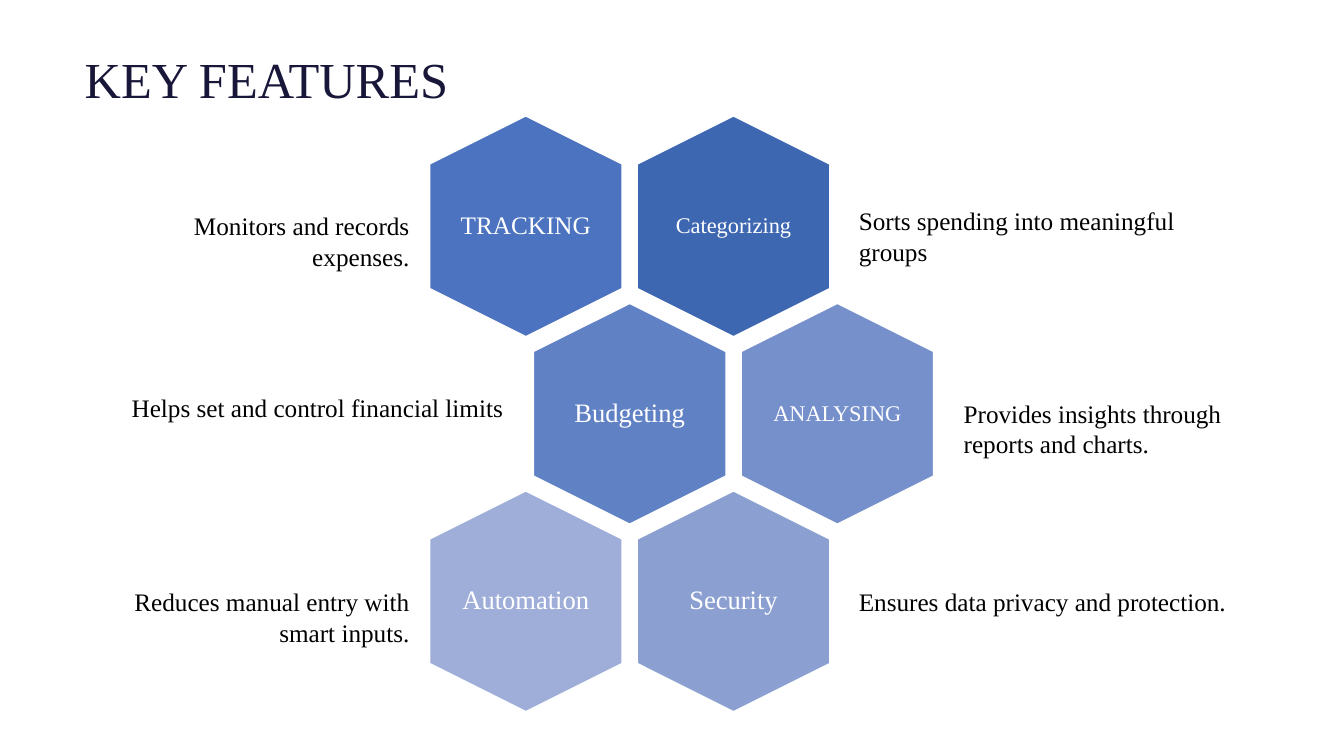
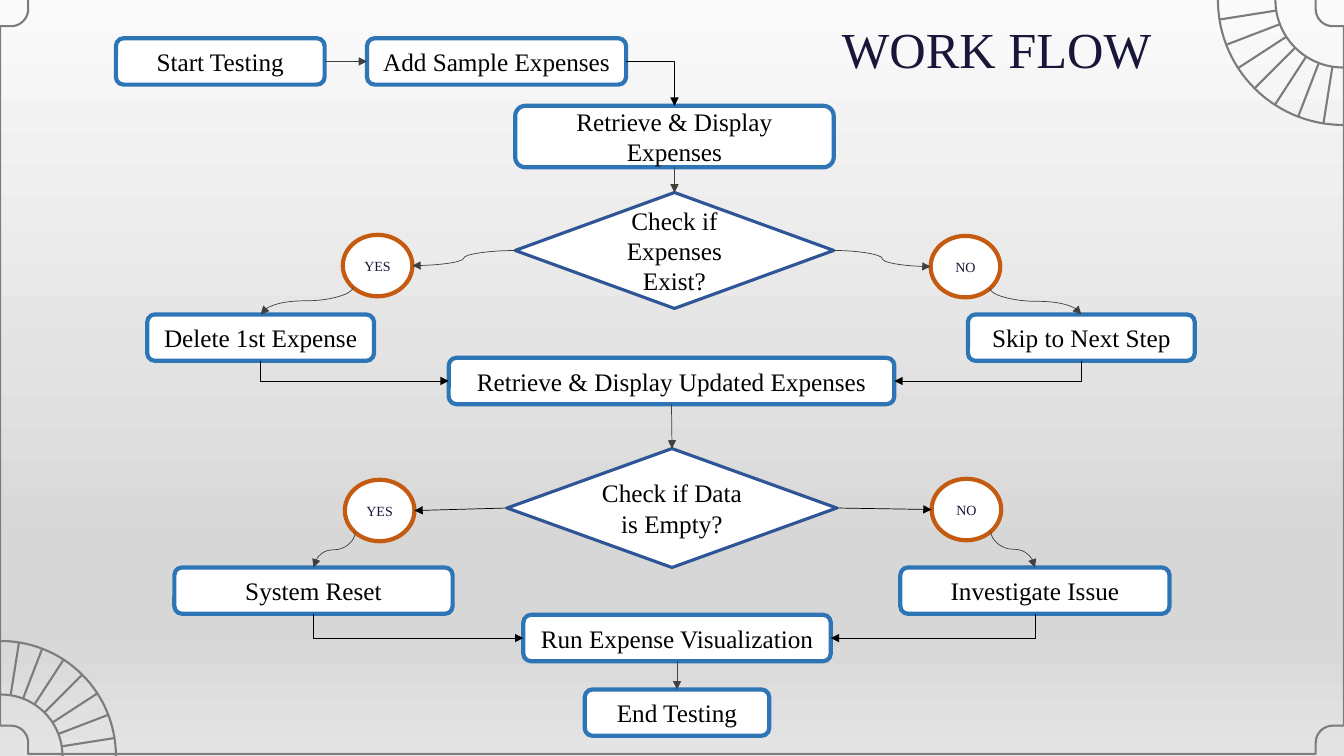
from dataclasses import dataclass
from math import cos, radians, sin

from lxml.etree import SubElement as Sub
from pptx import Presentation
from pptx.dml.color import RGBColor as Rgb
from pptx.enum.shapes import MSO_CONNECTOR as Wire, MSO_SHAPE as Form
from pptx.enum.text import MSO_ANCHOR as Anchor, MSO_AUTO_SIZE as Fit, PP_ALIGN as Align
from pptx.oxml.ns import qn
from pptx.util import Pt

SCALE = 9144
WIDE, HIGH = 1333, 750


@dataclass(frozen=True)
class Theme:
    font: str = "Times New Roman"
    ink: str = "18173A"
    black: str = "000000"
    white: str = "FFFFFF"
    grey: str = "404040"
    trim: str = "7C7C7C"
    step: str = "2E75B6"
    test: str = "2F5597"
    ring: str = "C55A11"
    fade: tuple = ((0, "FAFAFA"), (74, "D7D7D7"), (83, "D7D7D7"), (100, "E4E4E4"))
    title: int = 36
    body: int = 18
    tag: int = 10


LOOK = Theme()
SPOTS = {
    "T": (.5, 0), "TL": (.15, .15), "L": (0, .5), "BL": (.15, .85),
    "B": (.5, 1), "BR": (.85, .85), "R": (1, .5), "TR": (.85, .15),
}
BOX_SITES = ["T", "L", "B", "R"]
RING_SITES = list(SPOTS)

CELLS = [
    ("TRACKING", 412, 0, "4C73BF", 18),
    ("Categorizing", 618, 0, "3E67B2", 16),
    ("Budgeting", 515, 1, "6181C5", 19),
    ("ANALYSING", 721, 1, "7690CB", 16),
    ("Automation", 412, 2, "9FAED8", 19),
    ("Security", 618, 2, "8B9FD1", 19),
]
NOTES = [
    ("Monitors and records expenses.", (111, 204, 305, 71), Align.RIGHT),
    ("Sorts spending into meaningful groups", (842, 199, 394, 71), Align.LEFT),
    ("Helps set and control financial limits", (111, 384, 398, 40), Align.RIGHT),
    ("Provides insights through reports and charts.", (946, 390, 344, 71), Align.LEFT),
    ("Reduces manual entry with smart inputs.", (111, 577, 305, 71), Align.RIGHT),
    ("Ensures data privacy and protection.", (842, 577, 394, 40), Align.LEFT),
]
STEPS = {
    "start": ("Start Testing", 115, 38, 207, 46),
    "add": ("Add Sample Expenses", 364, 38, 257, 46),
    "show": ("Retrieve & Display Expenses", 511, 105, 316, 61),
    "delete": ("Delete 1st Expense", 146, 312, 225, 46),
    "skip": ("Skip to Next Step", 960, 312, 225, 46),
    "update": ("Retrieve & Display Updated Expenses", 445, 355, 442, 46),
    "reset": ("System Reset", 173, 563, 276, 46),
    "probe": ("Investigate Issue", 893, 563, 267, 46),
    "run": ("Run Expense Visualization", 519, 610, 305, 46),
    "end": ("End Testing", 580, 684, 183, 46),
}
TESTS = {
    "exist": ("Check if Expenses Exist?", 511, 191, 316, 115),
    "empty": ("Check if Data is Empty?", 503, 445, 327, 118),
}
RINGS = {
    "yes1": ("YES", 340, 233, 69, 61),
    "no1": ("NO", 923, 234, 69, 61),
    "yes2": ("YES", 342, 476, 69, 61),
    "no2": ("NO", 924, 475, 69, 61),
}
LINKS = [
    (Wire.STRAIGHT, LOOK.grey, [
        ("start", "R", "add", "L"), ("show", "B", "exist", "T"),
        ("update", "B", "empty", "T"), ("run", "B", "end", "T")]),
    (Wire.STRAIGHT, LOOK.black, [
        ("empty", "L", "yes2", "R"), ("empty", "R", "no2", "L")]),
    (Wire.CURVE, LOOK.grey, [
        ("exist", "L", "yes1", "R"), ("exist", "R", "no1", "L"),
        ("yes1", "BL", "delete", "T"), ("no1", "BR", "skip", "T"),
        ("yes2", "BL", "reset", "T"), ("no2", "BR", "probe", "T")]),
    (Wire.ELBOW, LOOK.black, [
        ("add", "R", "show", "T"),
        ("delete", "B", "update", "L"), ("skip", "B", "update", "R"),
        ("reset", "B", "run", "L"), ("probe", "B", "run", "R")]),
]


def px(*vals):
    return [round(val * SCALE) for val in vals]


def write(frame, text, size, tint, align):
    frame.word_wrap = True
    frame.text = text
    para = frame.paragraphs[0]
    para.alignment = align
    font = para.font
    font.name, font.size, font.color.rgb = LOOK.font, Pt(size), Rgb.from_string(tint)


def label(slide, text, box, align, size=LOOK.body, tint=LOOK.black):
    frame = slide.shapes.add_textbox(*px(*box)).text_frame
    write(frame, text, size, tint, align)
    return frame


def page(deck, text, box):
    slide = deck.slides.add_slide(deck.slide_layouts[5])
    head = slide.shapes.title
    head.left, head.top, head.width, head.height = px(*box)
    frame = head.text_frame
    write(frame, text, LOOK.title, LOOK.ink, Align.LEFT)
    frame.auto_size = Fit.NONE
    frame.vertical_anchor = Anchor.TOP
    return slide


def shape(slide, form, box, fill, edge, width):
    item = slide.shapes.add_shape(form, *px(*box))
    item.shadow.inherit = False
    item.fill.solid()
    item.fill.fore_color.rgb = Rgb.from_string(fill)
    item.line.color.rgb = Rgb.from_string(edge)
    item.line.width = Pt(width)
    return item


def cell(slide, text, left, row, fill, size):
    top = 129 + 186 * row
    item = shape(slide, Form.HEXAGON, (left, top, 219, 191), fill, LOOK.white, 1)
    item.rotation = 90
    frame = label(slide, text, (left + 44, top + 20, 131, 151), Align.CENTER, size, LOOK.white)
    frame.margin_left = frame.margin_right = frame.margin_top = frame.margin_bottom = 0
    frame.vertical_anchor = Anchor.MIDDLE
    frame.paragraphs[0].line_spacing = .9


def node(slide, form, spec_row, edge, width, size=LOOK.body, tint=LOOK.black):
    text, *box = spec_row
    item = shape(slide, form, box, LOOK.white, edge, width)
    write(item.text_frame, text, size, tint, Align.CENTER)
    item.text_frame.vertical_anchor = Anchor.MIDDLE
    return item


def spot(item, side):
    fx, fy = SPOTS[side]
    return round(item.left + fx * item.width), round(item.top + fy * item.height)


def glue(wire, tag, item, side):
    ring = item.auto_shape_type == Form.FLOWCHART_CONNECTOR
    sites = RING_SITES if ring else BOX_SITES
    host = wire.element.find(".//" + qn("p:cNvCxnSpPr"))
    Sub(host, qn(tag), id=str(item.shape_id), idx=str(sites.index(side)))


def turn(wire, start, stop):
    dx, dy = stop[0] - start[0], stop[1] - start[1]
    wire.width, wire.height = abs(dy), abs(dx)
    wire.left = (start[0] + stop[0] - abs(dy)) // 2
    wire.top = (start[1] + stop[1] - abs(dx)) // 2
    frame = wire.element.find(".//" + qn("a:xfrm"))
    frame.set("rot", "16200000" if dx > 0 else "5400000")
    frame.set("flipH", "1" if dx > 0 else "0")


def stroke(slide, kind, start, stop, tint, width):
    wire = slide.shapes.add_connector(kind, *start, *stop)
    wire.line.color.rgb = Rgb.from_string(tint)
    wire.line.width = Pt(width)
    Sub(wire.element.spPr, qn("a:effectLst"))
    return wire


def link(slide, kind, tint, first, out, last, into):
    start, stop = spot(first, out), spot(last, into)
    wire = stroke(slide, kind, start, stop, tint, .5)
    Sub(wire.element.find(".//" + qn("a:ln")), qn("a:tailEnd"), type="triangle")
    if kind == Wire.ELBOW:
        wire.element.find(".//" + qn("a:prstGeom")).set("prst", "bentConnector2")
    if kind != Wire.STRAIGHT and out.startswith("B"):
        turn(wire, start, stop)
    glue(wire, "a:stCxn", first, out)
    glue(wire, "a:endCxn", last, into)


def polar(mid, reach, angle):
    turned = radians(angle)
    return mid[0] + reach * cos(turned), mid[1] + reach * sin(turned)


def arc(mid, reach, start):
    return [polar(mid, reach, start + step) for step in range(0, 91, 3)]


def trace(slide, dots, close=False):
    dots = [px(*dot) for dot in dots]
    pen = slide.shapes.build_freeform(*dots[0])
    pen.add_line_segments(dots[1:], close=close)
    item = pen.convert_to_shape()
    item.shadow.inherit = False
    item.fill.background()
    item.line.color.rgb = Rgb.from_string(LOOK.trim)
    item.line.width = Pt(1.5)


def fan(slide, mid, inner, outer, start):
    for reach in (inner, outer):
        trace(slide, arc(mid, reach, start))
    for angle in range(start + 9, start + 90, 12):
        ends = [px(*polar(mid, reach, angle)) for reach in (inner, outer)]
        stroke(slide, Wire.STRAIGHT, *ends, LOOK.trim, 1.5)


def border(slide):
    dots = []
    for x, y, start in ((11, 737, -90), (1322, 737, 180), (1322, 9, 90), (11, 9, 0)):
        curve = arc((x, y), 17, start)
        dots += [polar(curve[0], 11, start - 90), *curve, polar(curve[-1], 11, start + 180)]
    trace(slide, dots, close=True)


def shade(slide):
    fill = slide.background.fill
    fill.gradient()
    fill.gradient_angle = 270
    stops = slide.element.find(".//" + qn("a:gsLst"))
    stops.clear()
    for place, tint in LOOK.fade:
        Sub(Sub(stops, qn("a:gs"), pos=str(place * 1000)), qn("a:srgbClr"), val=tint)


def features(deck):
    slide = page(deck, "KEY FEATURES", (74, 43, 400, 71))
    for row in CELLS:
        cell(slide, *row)
    for text, box, align in NOTES:
        label(slide, text, box, align)


def workflow(deck):
    slide = page(deck, "WORK FLOW", (825, 13, 342, 71))
    shade(slide)
    border(slide)
    fan(slide, (1, 750), 61, 114, -90)
    fan(slide, (1332, 0), 67, 124, 90)
    nodes = {}
    for group, style in (
        (STEPS, (Form.FLOWCHART_ALTERNATE_PROCESS, LOOK.step, 3)),
        (TESTS, (Form.DIAMOND, LOOK.test, 2.25)),
        (RINGS, (Form.FLOWCHART_CONNECTOR, LOOK.ring, 3, LOOK.tag, LOOK.ink)),
    ):
        form, *rest = style
        for key, row in group.items():
            nodes[key] = node(slide, form, row, *rest)
    for kind, tint, pairs in LINKS:
        for first, out, last, into in pairs:
            link(slide, kind, tint, nodes[first], out, nodes[last], into)


def main():
    deck = Presentation()
    deck.slide_width, deck.slide_height = px(WIDE, HIGH)
    features(deck)
    workflow(deck)
    deck.save("out.pptx")


if __name__ == "__main__":
    main()
